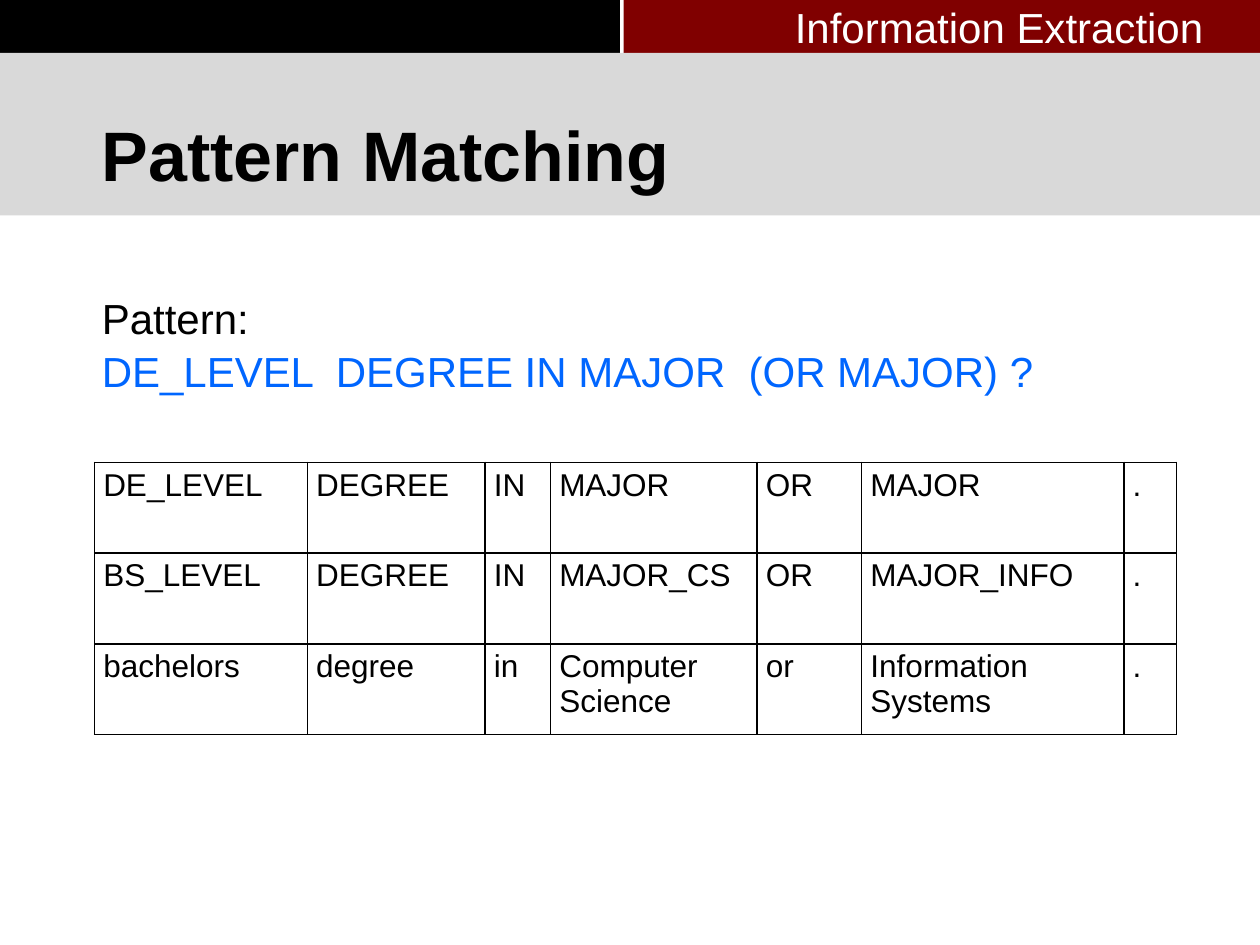
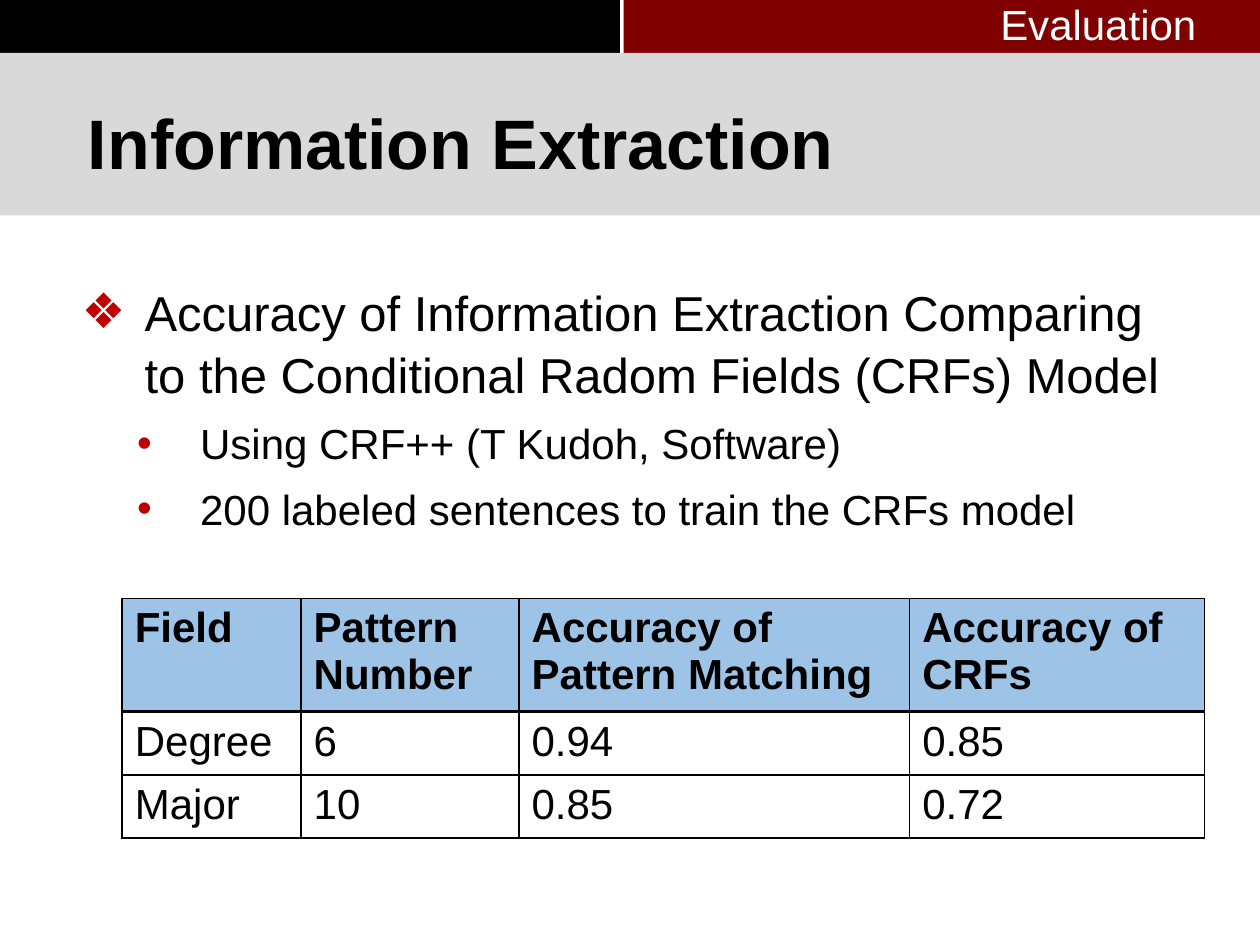
from dataclasses import dataclass

from lxml import etree
from pptx import Presentation
from pptx.dml.color import RGBColor
from pptx.enum.shapes import MSO_SHAPE
from pptx.enum.text import MSO_ANCHOR
from pptx.oxml.ns import qn
from pptx.util import Inches, Pt

RECTANGLE = MSO_SHAPE.RECTANGLE
ANCHOR_TOP, ANCHOR_MIDDLE = MSO_ANCHOR.TOP, MSO_ANCHOR.MIDDLE
BORDER_TAGS = ("a:lnL", "a:lnR", "a:lnT", "a:lnB")


@dataclass(frozen=True)
class Theme:
    font: str = "Arial"
    black: str = "000000"
    white: str = "FFFFFF"
    maroon: str = "800000"
    title_band: str = "D9D9D9"
    pattern_blue: str = "0066FF"
    bullet_red: str = "C00000"
    header_blue: str = "9DC3E6"
    title_size: int = 40
    bullet_size: int = 28
    text_size: int = 24
    token_size: int = 18
    text_spacing: float = 1.05


THEME = Theme()

# Left, top, width, height in inches, and colour
BANDS = (
    ((0, 0, 4.92, 0.42), THEME.black),
    ((4.95, 0, 5.05, 0.42), THEME.maroon),
    ((0, 0.42, 10, 1.29), THEME.title_band),
)

PATTERN_ROWS = (
    ("DE_LEVEL", "DEGREE", "IN", "MAJOR", "OR", "MAJOR", "."),
    ("BS_LEVEL", "DEGREE", "IN", "MAJOR_CS", "OR", "MAJOR_INFO", "."),
    ("bachelors", "degree", "in", "Computer Science", "or", "Information Systems", "."),
)

ACCURACY_ROWS = (
    ("Field", "Pattern\nNumber", "Accuracy of Pattern Matching", "Accuracy of CRFs"),
    ("Degree", "6", "0.94", "0.85"),
    ("Major", "10", "0.85", "0.72"),
)


def inches(box):
    return [Inches(length) for length in box]


def add_run(paragraph, text, size, color=THEME.black, bold=False):
    run = paragraph.add_run()
    run.text = text
    run.font.name = THEME.font
    run.font.size = Pt(size)
    run.font.bold = bold
    run.font.color.rgb = RGBColor.from_string(color)


def paragraphs_for(frame, lines):
    """Pair each line with a paragraph, using the frame's first one first."""
    for index, line in enumerate(lines):
        yield (frame.add_paragraph() if index else frame.paragraphs[0]), line


def add_text_frame(slide, box, anchor=ANCHOR_TOP, wrap=True):
    frame = slide.shapes.add_textbox(*inches(box)).text_frame
    frame.word_wrap = wrap
    frame.vertical_anchor = anchor
    return frame


def add_bands(slide):
    for box, color in BANDS:
        band = slide.shapes.add_shape(RECTANGLE, *inches(box))
        band.shadow.inherit = False
        band.fill.solid()
        band.fill.fore_color.rgb = RGBColor.from_string(color)
        band.line.fill.background()


def add_title(slide, box, title):
    frame = add_text_frame(slide, box, ANCHOR_MIDDLE)
    add_run(frame.paragraphs[0], title, THEME.title_size, bold=True)


def add_section(slide, box, section):
    frame = add_text_frame(slide, box, wrap=False)
    add_run(frame.paragraphs[0], section, THEME.text_size, THEME.white)


def add_pattern(slide, box):
    lines = (
        ("Pattern:", THEME.black),
        ("DE_LEVEL  DEGREE IN MAJOR  (OR MAJOR) ?", THEME.pattern_blue),
    )
    frame = add_text_frame(slide, box, wrap=False)
    for paragraph, (text, color) in paragraphs_for(frame, lines):
        paragraph.line_spacing = THEME.text_spacing
        add_run(paragraph, text, THEME.text_size, color)


def set_bullet(paragraph, symbol, indent, hanging=0.5):
    properties = paragraph._p.get_or_add_pPr()
    properties.set("marL", str(Inches(indent)))
    properties.set("indent", str(-Inches(hanging)))
    color = etree.SubElement(properties, qn("a:buClr"))
    etree.SubElement(color, qn("a:srgbClr"), val=THEME.bullet_red)
    etree.SubElement(properties, qn("a:buFont"), typeface=THEME.font)
    etree.SubElement(properties, qn("a:buChar"), char=symbol)


def add_findings(slide, box):
    main = (0, "❖", 0.5, 8, THEME.bullet_size)
    detail = (1, "•", 0.94, 7, THEME.text_size)
    findings = (
        ("Accuracy of Information Extraction Comparing to the "
         "Conditional Radom Fields (CRFs) Model", main),
        ("Using CRF++ (T Kudoh, Software)", detail),
        ("200 labeled sentences to train the CRFs model", detail),
    )
    frame = add_text_frame(slide, box)
    for paragraph, (text, style) in paragraphs_for(frame, findings):
        level, symbol, indent, space_before, size = style
        paragraph.level = level
        paragraph.line_spacing = THEME.text_spacing
        paragraph.space_before = Pt(space_before)
        set_bullet(paragraph, symbol, indent)
        add_run(paragraph, text, size)


def set_borders(cell, bottom_width):
    properties = cell._tc.get_or_add_tcPr()
    for tag, width in zip(BORDER_TAGS, (1, 1, 1, bottom_width)):
        line = etree.SubElement(properties, qn(tag), w=str(Pt(width)))
        fill = etree.SubElement(line, qn("a:solidFill"))
        etree.SubElement(fill, qn("a:srgbClr"), val=THEME.black)


def add_grid(slide, origin, widths, heights, rows, size, margins=(0.1, 0.05), header=False):
    """Add a ruled table; margins are horizontal and vertical, in inches."""
    box = (*origin, sum(widths), sum(heights))
    table = slide.shapes.add_table(len(rows), len(widths), *inches(box)).table
    table.first_row = header
    table.horz_banding = False
    for column, width in zip(table.columns, widths):
        column.width = Inches(width)
    for row, height in zip(table.rows, heights):
        row.height = Inches(height)
    for row_index, row in enumerate(rows):
        is_header = header and row_index == 0
        for column_index, text in enumerate(row):
            cell = table.cell(row_index, column_index)
            cell.margin_left = cell.margin_right = Inches(margins[0])
            cell.margin_top = cell.margin_bottom = Inches(margins[1])
            under_header = header and row_index == 1
            set_borders(cell, 2 if is_header else 1)
            if under_header:
                cell._tc.tcPr.find(qn("a:lnT")).set("w", str(Pt(2)))
            if is_header:
                cell.fill.solid()
                cell.fill.fore_color.rgb = RGBColor.from_string(THEME.header_blue)
            else:
                cell.fill.background()
            for paragraph, line in paragraphs_for(cell.text_frame, text.split("\n")):
                add_run(paragraph, line, size, bold=is_header)


def add_banded_slide(prs):
    slide = prs.slides.add_slide(prs.slide_layouts[6])
    add_bands(slide)
    return slide


def build_pattern_slide(prs):
    slide = add_banded_slide(prs)
    add_title(slide, (0.71, 0.67, 8.03, 1.09), "Pattern Matching")
    add_pattern(slide, (0.71, 2.25, 7.67, 0.91))
    add_grid(slide, (0.75, 3.67), (1.69, 1.41, 0.52, 1.64, 0.83, 2.08, 0.42),
             (0.72,) * 3, PATTERN_ROWS, THEME.token_size, margins=(0.07, 0.04))
    add_section(slide, (6.21, -0.04, 3.48, 0.5), "Information Extraction")


def build_evaluation_slide(prs):
    slide = add_banded_slide(prs)
    add_findings(slide, (0.55, 2.17, 9, 3.31))
    add_title(slide, (0.6, 0.58, 8.17, 1.09), "Information Extraction")
    add_section(slide, (7.84, -0.06, 1.78, 0.5), "Evaluation")
    add_grid(slide, (0.97, 4.75), (1.42, 1.73, 3.1, 2.34), (0.9, 0.5, 0.5),
             ACCURACY_ROWS, THEME.text_size, header=True)


def main():
    prs = Presentation()
    prs.slide_width, prs.slide_height = Inches(10), Inches(7.5)
    build_pattern_slide(prs)
    build_evaluation_slide(prs)
    prs.save("out.pptx")


if __name__ == "__main__":
    main()
